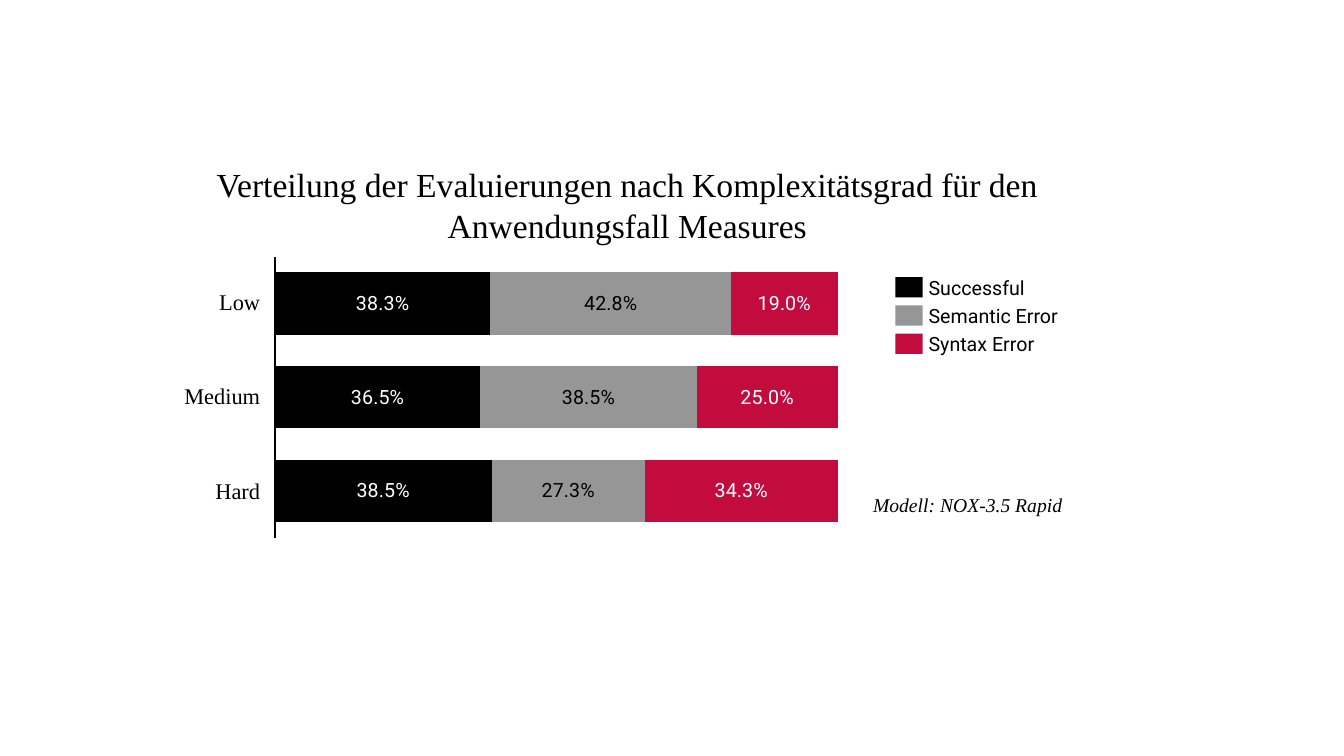
from lxml import etree
from pptx import Presentation
from pptx.chart.data import CategoryChartData
from pptx.dml.color import RGBColor
from pptx.enum.chart import XL_CHART_TYPE, XL_LABEL_POSITION, XL_TICK_LABEL_POSITION, XL_TICK_MARK
from pptx.enum.shapes import MSO_SHAPE
from pptx.enum.text import MSO_ANCHOR, PP_ALIGN
from pptx.oxml.ns import qn
from pptx.util import Inches, Pt

BAR_STACKED = XL_CHART_TYPE.BAR_STACKED
LABEL_CENTER = XL_LABEL_POSITION.CENTER
NO_TICK_LABELS = XL_TICK_LABEL_POSITION.NONE
NO_TICKS = XL_TICK_MARK.NONE
RECTANGLE = MSO_SHAPE.RECTANGLE
TOP, MIDDLE = MSO_ANCHOR.TOP, MSO_ANCHOR.MIDDLE
LEFT, CENTER, RIGHT = PP_ALIGN.LEFT, PP_ALIGN.CENTER, PP_ALIGN.RIGHT
SERIF, SANS = "Times New Roman", "Roboto"
BLACK, WHITE, GREY, RED = "000000", "FFFFFF", "969696", "C30C3E"

deck = Presentation()
deck.slide_width, deck.slide_height = Inches(13.33), Inches(7.5)
slide = deck.slides.add_slide(deck.slide_layouts[6])


def area(left, top, width, height):
    """Turn percentages of the slide into lengths."""
    across, down = deck.slide_width / 100, deck.slide_height / 100
    return int(left * across), int(top * down), int(width * across), int(height * down)


def write(text, place, align, font, inset=0, anchor=MIDDLE, spacing=0.9):
    frame = slide.shapes.add_textbox(*area(*place)).text_frame
    frame_format = {"word_wrap": True, "vertical_anchor": anchor,
                    "margin_left": Inches(inset), "margin_right": Inches(inset),
                    "margin_top": Inches(inset / 2), "margin_bottom": Inches(inset / 2)}
    for key, value in frame_format.items():
        setattr(frame, key, value)
    line = frame.paragraphs[0]
    line.alignment, line.line_spacing = align, spacing
    run = line.add_run()
    run.text = text
    for key, value in font.items():
        setattr(run.font, key, value)
    run.font.color.rgb = RGBColor.from_string(BLACK)


# Title and model note
write("Verteilung der Evaluierungen nach Komplexitätsgrad für den Anwendungsfall Measures",
      (15.23, 21.07, 62.87, 12.13), CENTER, {"name": SERIF, "size": Pt(24)}, 0.1, TOP, 1.0)
write("Modell: NOX-3.5 Rapid", (64.22, 64.53, 16.05, 4.53), LEFT,
      {"name": SERIF, "size": Pt(14), "italic": True}, 0.1, TOP, 1.0)

# Evaluation results by complexity
levels = ["Low", "Medium", "Hard"]
outcomes = [
    ("Successful", (38.3, 36.5, 38.5), BLACK, WHITE),
    ("Semantic Error", (42.8, 38.5, 27.3), GREY, BLACK),
    ("Syntax Error", (19.0, 25.0, 34.3), RED, WHITE),
]
results = CategoryChartData()
results.categories = levels
for outcome, shares, _, _ in outcomes:
    results.add_series(outcome, shares)
chart = slide.shapes.add_chart(BAR_STACKED, *area(19.73, 29.47, 43.29, 46.13), results).chart
chart.has_legend = chart.has_title = False
chart.font.name, chart.font.size = SANS, Pt(14)

bars = chart.plots[0]
bars.gap_width, bars.overlap, bars.vary_by_categories = 50, 100, False
for series, (_, _, fill, label_color) in zip(bars.series, outcomes):
    series.format.fill.solid()
    series.format.fill.fore_color.rgb = RGBColor.from_string(fill)
    labels = series.data_labels
    label_format = {"show_value": True, "number_format": '0.0"%"',
                    "number_format_is_linked": False, "position": LABEL_CENTER}
    for key, value in label_format.items():
        setattr(labels, key, value)
    labels.font.name, labels.font.size = SANS, Pt(14)
    labels.font.color.rgb = RGBColor.from_string(label_color)

# Axes
level_axis, share_axis = chart.category_axis, chart.value_axis
axis_formats = [
    (level_axis, {"reverse_order": True, "tick_label_position": NO_TICK_LABELS,
                  "major_tick_mark": NO_TICKS, "minor_tick_mark": NO_TICKS}),
    (share_axis, {"minimum_scale": 0, "maximum_scale": 100,
                  "has_major_gridlines": False, "visible": False}),
]
for axis, axis_format in axis_formats:
    for key, value in axis_format.items():
        setattr(axis, key, value)
level_axis.format.line.width = Pt(0.75)
level_axis.format.line.color.rgb = RGBColor.from_string(BLACK)

# Fixed inner plot area
plot_area = chart.element.find(".//" + qn("c:plotArea"))
for old_layout in plot_area.findall(qn("c:layout")):
    plot_area.remove(old_layout)
layout = etree.Element(qn("c:layout"))
manual = etree.SubElement(layout, qn("c:manualLayout"))
for tag, value in [("layoutTarget", "inner"), ("xMode", "edge"), ("yMode", "edge"),
                   ("x", "0.017"), ("y", "0.097"), ("w", "0.967"), ("h", "0.807")]:
    etree.SubElement(manual, qn("c:" + tag)).set("val", value)
plot_area.insert(0, layout)

# Complexity names beside the bars
for row, level in enumerate(levels):
    write(level, (12.85, 38.53 + row * 12.47, 6.5, 3.2), RIGHT, {"name": SERIF, "size": Pt(16)})

# Legend
for row, (outcome, _, fill, _) in enumerate(outcomes):
    drop = row * 3.73
    swatch = slide.shapes.add_shape(RECTANGLE, *area(66.62, 36.67 + drop, 2.03, 2.67))
    swatch.shadow.inherit = False
    swatch.fill.solid()
    swatch.fill.fore_color.rgb = RGBColor.from_string(fill)
    swatch.line.fill.background()
    write(outcome, (69.09, 36.8 + drop, 10.5, 2.8), LEFT, {"name": SANS, "size": Pt(14)})

deck.save("out.pptx")
